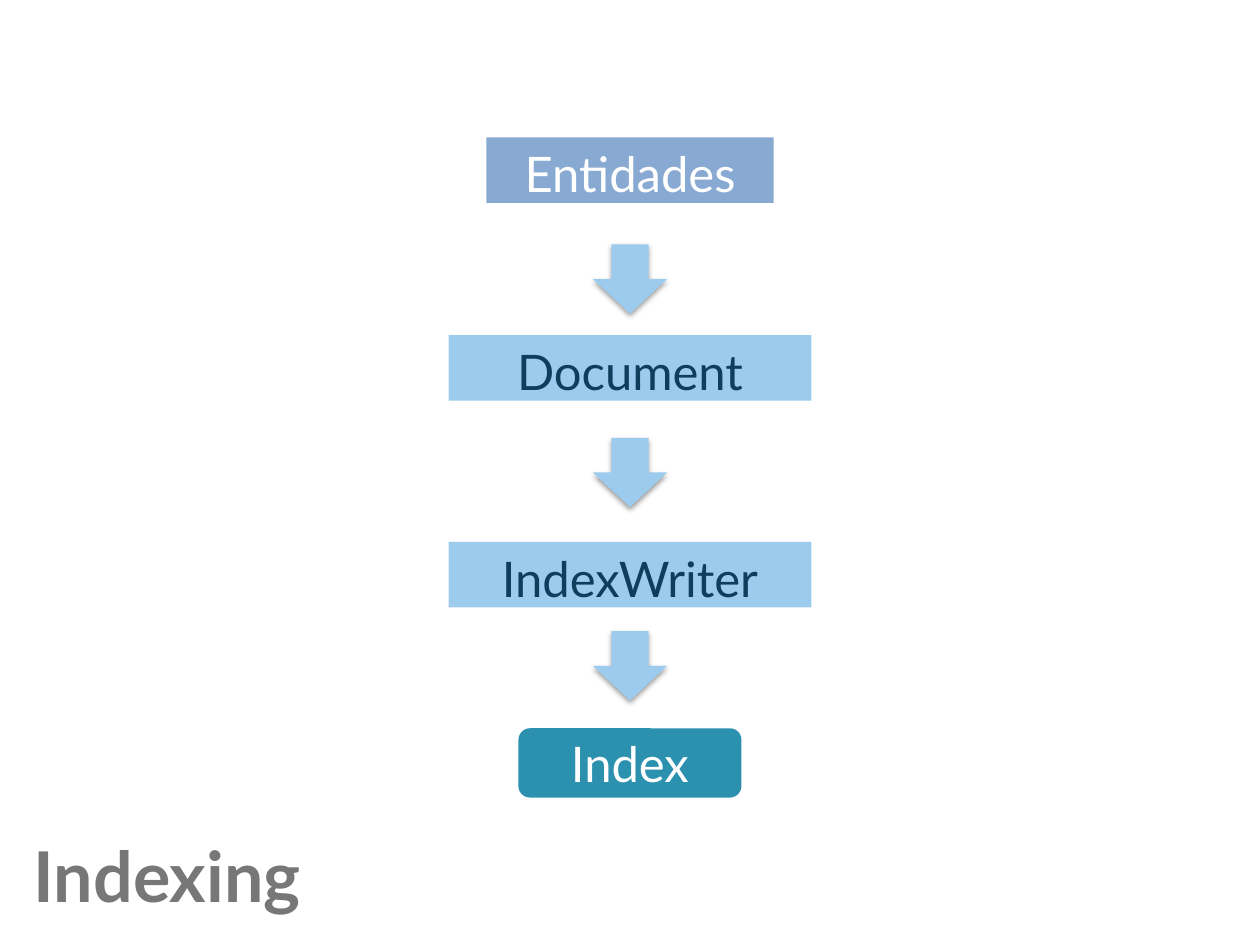
from lxml import etree
from pptx import Presentation
from pptx.dml.color import RGBColor
from pptx.enum.shapes import MSO_SHAPE
from pptx.enum.text import MSO_ANCHOR, PP_ALIGN
from pptx.oxml import parse_xml
from pptx.oxml.ns import nsdecls, qn
from pptx.util import Inches, Pt

RECT, ROUNDED, DOWN = MSO_SHAPE.RECTANGLE, MSO_SHAPE.ROUNDED_RECTANGLE, MSO_SHAPE.DOWN_ARROW
TOP, MIDDLE = MSO_ANCHOR.TOP, MSO_ANCHOR.MIDDLE
LEFT, CENTER = PP_ALIGN.LEFT, PP_ALIGN.CENTER

WHITE = RGBColor(0xFF, 0xFF, 0xFF)
PERIWINKLE = RGBColor(0x88, 0xA9, 0xD2)
SKY = RGBColor(0x9D, 0xCB, 0xED)
NAVY = RGBColor(0x11, 0x3D, 0x5C)
TEAL = RGBColor(0x2B, 0x91, 0xAF)
GRAY = RGBColor(0x77, 0x77, 0x77)

FONT = "Lato"
WIDTH, HEIGHT = 10, 7.5
ARROW_W, ARROW_H = 0.59, 0.55
ARROW_TOP, ARROW_PITCH = 1.94, 1.535
STEPS = [
    ("Entidades", RECT, 1.09, 2.28, 0.52, PERIWINKLE, WHITE, TOP),
    ("Document", RECT, 2.66, 2.88, 0.52, SKY, NAVY, TOP),
    ("IndexWriter", RECT, 4.3, 2.88, 0.52, SKY, NAVY, TOP),
    ("Index", ROUNDED, 5.78, 1.77, 0.55, TEAL, WHITE, MIDDLE),
]


def write(tf, text, size, color, align, bold=False):
    """Write one styled run into a text frame."""
    p = tf.paragraphs[0]
    p.alignment = align
    r = p.add_run()
    r.text = text
    r.font.name, r.font.size, r.font.bold = FONT, Pt(size), bold
    r.font.color.rgb = color


def add_centered(s, kind, top, width, height, fill):
    """Add a borderless filled shape centred across the slide."""
    sp = s.shapes.add_shape(kind, Inches((WIDTH - width) / 2), Inches(top),
                            Inches(width), Inches(height))
    sp.shadow.inherit = False
    sp.fill.solid()
    sp.fill.fore_color.rgb = fill
    sp.line.fill.background()
    return sp


def add_step(s, text, kind, top, width, height, fill, color, anchor):
    """Add a labelled box of the flow."""
    sp = add_centered(s, kind, top, width, height, fill)
    sp.text_frame.vertical_anchor = anchor
    write(sp.text_frame, text, 28, color, CENTER)


def add_arrow(s, top):
    """Add a down arrow with a soft shadow."""
    sp = add_centered(s, DOWN, top, ARROW_W, ARROW_H, SKY)
    effects = sp._element.spPr.find(qn("a:effectLst"))
    shadow = parse_xml(
        f'<a:outerShdw {nsdecls("a")} blurRad="{Pt(3.1)}" dist="{Pt(1.6)}" '
        'dir="5400000" rotWithShape="0"/>')
    color = etree.SubElement(shadow, qn("a:srgbClr"), val="000000")
    etree.SubElement(color, qn("a:alpha"), val="38000")
    effects.append(shadow)


def add_title(s, text):
    """Add the slide title at the bottom left."""
    box = s.shapes.add_textbox(Inches(0.17), Inches(6.56), Inches(3.32), Inches(0.77))
    box.text_frame.word_wrap = True
    write(box.text_frame, text, 40, GRAY, LEFT, bold=True)


def main():
    """Build the indexing flow slide."""
    prs = Presentation()
    prs.slide_width, prs.slide_height = Inches(WIDTH), Inches(HEIGHT)
    s = prs.slides.add_slide(prs.slide_layouts[6])
    for i in range(len(STEPS) - 1):
        add_arrow(s, ARROW_TOP + i * ARROW_PITCH)
    add_title(s, "Indexing")
    for step in STEPS:
        add_step(s, *step)
    prs.save("out.pptx")


if __name__ == "__main__":
    main()
